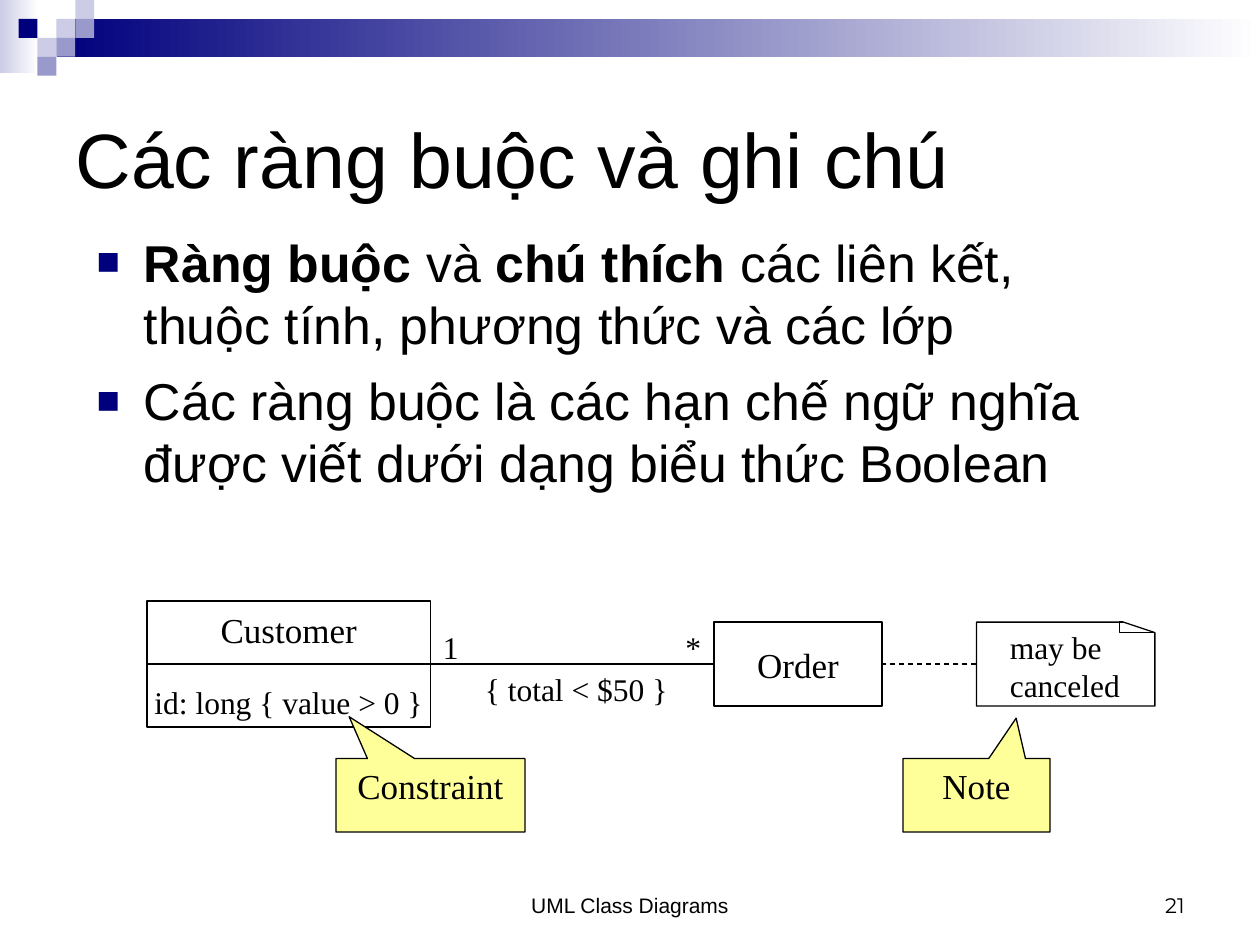
from lxml.etree import SubElement
from pptx import Presentation
from pptx.dml.color import RGBColor
from pptx.enum.dml import MSO_LINE
from pptx.enum.shapes import MSO_CONNECTOR, MSO_SHAPE
from pptx.enum.text import MSO_ANCHOR, MSO_AUTO_SIZE, PP_ALIGN
from pptx.oxml.ns import qn
from pptx.util import Pt

BLACK = RGBColor(0x00, 0x00, 0x00)
WHITE = RGBColor(0xFF, 0xFF, 0xFF)
NAVY = RGBColor(0x00, 0x00, 0x7D)
LAVENDER = RGBColor(0xCC, 0xCC, 0xE6)
PERIWINKLE = RGBColor(0x99, 0x99, 0xCC)
YELLOW = RGBColor(0xFF, 0xFF, 0x99)
SERIF = "Times New Roman"

prs = Presentation()
prs.slide_width, prs.slide_height = Pt(720), Pt(540)
slide = prs.slides.add_slide(prs.slide_layouts[1])
shapes = slide.shapes


def write(shape, text, size, align=PP_ALIGN.LEFT, anchor=MSO_ANCHOR.TOP,
          wrap=True, font=SERIF):
    frame = shape.text_frame
    frame.word_wrap = wrap
    frame.vertical_anchor = anchor
    frame.text = text
    paragraph = frame.paragraphs[0]
    paragraph.alignment = align
    paragraph.font.name = font
    paragraph.font.size = Pt(size)
    paragraph.font.color.rgb = BLACK


def outline(shape):
    shape.line.color.rgb = BLACK
    shape.line.width = Pt(0.75)
    if hasattr(shape, "shadow"):
        shape.shadow.inherit = False
    else:
        SubElement(shape._element.spPr, qn("a:effectLst"))


# Header: two fading bands and a mosaic of small squares
for left, top, width, height, color in [
    (0, 0, 22, 42, LAVENDER),
    (32.5, 10.8, 687.5, 21.6, NAVY),
]:
    band = shapes.add_shape(MSO_SHAPE.RECTANGLE, Pt(left), Pt(top), Pt(width), Pt(height))
    band.shadow.inherit = False
    band.line.fill.background()
    band.fill.gradient()
    band.fill.gradient_angle = 0
    for stop, stop_color in zip(band.fill.gradient_stops, (color, WHITE)):
        stop.color.rgb = stop_color

SQUARE = 10.8
for column, row, color in [
    (3, 1, LAVENDER), (4, 0, LAVENDER), (4, 1, PERIWINKLE), (2, 2, LAVENDER),
    (1, 1, NAVY), (3, 2, PERIWINKLE), (2, 3, PERIWINKLE),
]:
    square = shapes.add_shape(MSO_SHAPE.RECTANGLE, Pt(column * SQUARE - 0.2),
                              Pt(row * SQUARE), Pt(SQUARE), Pt(SQUARE))
    square.shadow.inherit = False
    square.line.fill.background()
    square.fill.solid()
    square.fill.fore_color.rgb = color

# Title
title = shapes.title
title.left, title.top, title.width, title.height = Pt(36), Pt(36), Pt(648), Pt(108)
write(title, "Các ràng buộc và ghi chú", 44, anchor=MSO_ANCHOR.MIDDLE, font="Arial")
title.text_frame.auto_size = MSO_AUTO_SIZE.NONE

# Bulleted list, as (text, bold) runs
body = slide.placeholders[1]
body.left, body.top, body.width, body.height = Pt(48), Pt(128), Pt(612), Pt(193)
body.text_frame.auto_size = MSO_AUTO_SIZE.NONE
points = [
    [("Ràng buộc ", True), ("và", False), (" chú thích ", True),
     ("các liên kết, thuộc tính, phương thức và các lớp", False)],
    [("Các ràng buộc là các hạn chế ngữ nghĩa được viết dưới dạng biểu thức Boolean",
      False)],
]
for index, runs in enumerate(points):
    point = body.text_frame.paragraphs[0] if index == 0 else body.text_frame.add_paragraph()
    properties = point._p.get_or_add_pPr()
    properties.set("marL", str(Pt(27)))
    properties.set("indent", str(-Pt(27)))
    bullet_color = SubElement(properties, qn("a:buClr"))
    SubElement(bullet_color, qn("a:srgbClr"), val=str(NAVY))
    SubElement(properties, qn("a:buSzPct"), val="75000")
    SubElement(properties, qn("a:buFont"), typeface="Arial")
    SubElement(properties, qn("a:buChar"), char="■")
    point.space_before = Pt(8 if index else 0)
    point.font.name = "Arial"
    point.font.size = Pt(29.6)
    point.font.color.rgb = BLACK
    for text, bold in runs:
        run = point.add_run()
        run.text = text
        run.font.bold = bold

# Class boxes, centred on one axis
AXIS = 379.5
classes = []
for left, width, height, text, size, anchor in [
    (84, 162, 72, "id: long { value > 0 }", 18, MSO_ANCHOR.BOTTOM),
    (408, 96, 48, "Order", 20, MSO_ANCHOR.MIDDLE),
]:
    class_box = shapes.add_shape(MSO_SHAPE.RECTANGLE, Pt(left), Pt(AXIS - height / 2),
                                 Pt(width), Pt(height))
    class_box.fill.background()
    outline(class_box)
    write(class_box, text, size, PP_ALIGN.CENTER, anchor, wrap=False)
    classes.append(class_box)
customer, order = classes

# Note with a folded corner
NOTE_TOP = AXIS - 24
note_builder = shapes.build_freeform(Pt(558), Pt(NOTE_TOP))
note_builder.add_line_segments([(Pt(x), Pt(y)) for x, y in [
    (558, AXIS + 24), (660, AXIS + 24), (660, NOTE_TOP + 6), (642, NOTE_TOP)]])
note = note_builder.convert_to_shape()
note.fill.background()
outline(note)

fold = shapes.add_connector(MSO_CONNECTOR.ELBOW, Pt(642), Pt(NOTE_TOP),
                            Pt(660), Pt(NOTE_TOP + 6))
outline(fold)
fold_guides = fold._element.spPr.find(qn("a:prstGeom")).find(qn("a:avLst"))
SubElement(fold_guides, qn("a:gd"), name="adj1", fmla="val -12400")

# Attribute divider, association and note link
links = []
for start, end in [(84, 246), (246, 408), (558, 504)]:
    link = shapes.add_connector(MSO_CONNECTOR.STRAIGHT, Pt(start), Pt(AXIS), Pt(end), Pt(AXIS))
    outline(link)
    links.append(link)
divider, association, note_link = links
divider.begin_connect(customer, 1)
divider.end_connect(customer, 3)
association.begin_connect(customer, 3)
association.end_connect(order, 1)
note_link.end_connect(order, 3)
note_link.line.dash_style = MSO_LINE.DASH

# Labels of the diagram and the footer
for left, top, width, height, text, size, align, anchor, wrap, font in [
    (84, 343.5, 162, 31.5, "Customer", 20, PP_ALIGN.CENTER, MSO_ANCHOR.BOTTOM, True, SERIF),
    (384.5, NOTE_TOP, 23, 29, "*", 18, PP_ALIGN.LEFT, MSO_ANCHOR.TOP, False, SERIF),
    (246, NOTE_TOP, 23, 29, "1", 18, PP_ALIGN.LEFT, MSO_ANCHOR.TOP, False, SERIF),
    (270, AXIS, 119, 29, "{ total < $50 }", 18, PP_ALIGN.LEFT, MSO_ANCHOR.TOP, False, SERIF),
    (570, NOTE_TOP, 91.5, 52.5, "may be canceled", 18, PP_ALIGN.LEFT, MSO_ANCHOR.TOP,
     True, SERIF),
    (246, 492, 228, 36, "UML Class Diagrams", 12, PP_ALIGN.CENTER, MSO_ANCHOR.BOTTOM,
     True, "Arial"),
    (516, 492, 168, 36, "21", 12, PP_ALIGN.RIGHT, MSO_ANCHOR.BOTTOM, True, "Montserrat"),
]:
    label = shapes.add_textbox(Pt(left), Pt(top), Pt(width), Pt(height))
    write(label, text, size, align, anchor, wrap, font)

# Callouts
for left, width, text, tip_x, tip_y in [
    (192, 108, "Constraint", -0.43, -1.07),
    (516, 84, "Note", 0.27, -1.05),
]:
    callout = shapes.add_shape(MSO_SHAPE.RECTANGULAR_CALLOUT, Pt(left), Pt(433.5),
                               Pt(width), Pt(42))
    callout.adjustments[0] = tip_x
    callout.adjustments[1] = tip_y
    callout.fill.solid()
    callout.fill.fore_color.rgb = YELLOW
    outline(callout)
    write(callout, text, 20, PP_ALIGN.CENTER)

prs.save("out.pptx")
